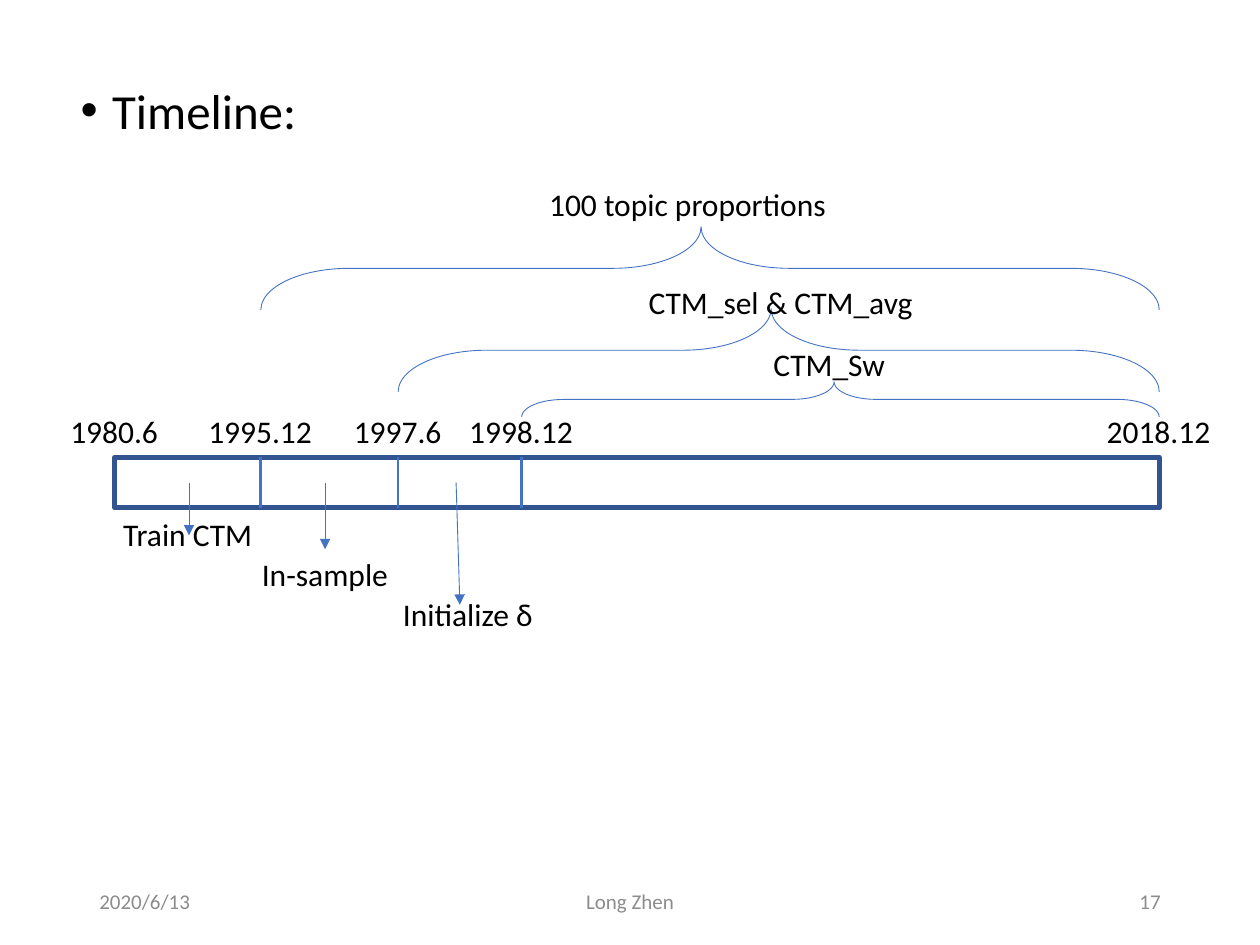
from lxml.etree import SubElement
from pptx import Presentation
from pptx.dml.color import RGBColor
from pptx.enum.shapes import MSO_CONNECTOR, MSO_SHAPE
from pptx.enum.text import MSO_ANCHOR, MSO_AUTO_SIZE, PP_ALIGN
from pptx.oxml.ns import qn
from pptx.util import Inches, Pt

# The page is a grid of 100 columns and 75 rows of equal cells
CELL = Inches(0.1)
BLACK, GREY, BLUE, NAVY = "000000", "8C8C8C", "4472C4", "325491"
LABEL_HEIGHT = 4


def cells(*counts):
    return [round(count * CELL) for count in counts]


def color(hex_code):
    return RGBColor.from_string(hex_code)


def format_text(para, size, hex_code, align=PP_ALIGN.LEFT):
    para.alignment = align
    for span in para.runs:
        span.font.name = "Calibri"
        span.font.size = Pt(size)
        span.font.color.rgb = color(hex_code)


def add_label(page, text, center, top, width):
    box = page.shapes.add_textbox(*cells(center - width / 2, top, width, LABEL_HEIGHT))
    frame = box.text_frame
    frame.text = text
    frame.word_wrap = False
    frame.auto_size = MSO_AUTO_SIZE.SHAPE_TO_FIT_TEXT
    format_text(frame.paragraphs[0], 18, BLACK)


def add_line(page, start, end, weight, arrow=False):
    line = page.shapes.add_connector(MSO_CONNECTOR.STRAIGHT, *cells(*start, *end))
    line.line.color.rgb = color(BLUE)
    line.line.width = Pt(weight)
    if arrow:
        SubElement(line.line._get_or_add_ln(), qn("a:tailEnd"), type="triangle")
    SubElement(line._element.spPr, qn("a:effectLst"))


def style_outline(shape, hex_code, weight):
    shape.shadow.inherit = False
    shape.fill.background()
    shape.line.color.rgb = color(hex_code)
    shape.line.width = Pt(weight)


def add_brace(page, left, top, width, height, curve):
    # A left brace turned by a quarter so that its tip points up
    middle_x, middle_y = left + width / 2, top + height / 2
    brace = page.shapes.add_shape(
        MSO_SHAPE.LEFT_BRACE,
        *cells(middle_x - height / 2, middle_y - width / 2, height, width))
    brace.rotation = 90
    brace.adjustments[0] = curve
    brace.adjustments[1] = 0.51
    style_outline(brace, BLUE, 0.5)


def add_heading(page, text, left, top, width, height):
    title, body = page.placeholders[0], page.placeholders[1]
    title._element.getparent().remove(title._element)
    body.left, body.top, body.width, body.height = cells(left, top, width, height)
    frame = body.text_frame
    frame.text = text
    frame.auto_size = MSO_AUTO_SIZE.NONE
    para = frame.paragraphs[0]
    properties = para._p.get_or_add_pPr()
    properties.set("marL", str(Inches(0.25)))
    properties.set("indent", str(-Inches(0.25)))
    SubElement(properties, qn("a:buFont"), typeface="Arial")
    SubElement(properties, qn("a:buChar"), char="•")
    para.line_spacing = 0.8
    para.space_before = Pt(0)
    format_text(para, 28, BLACK)


def add_timeline(page, left, top, width, height):
    right, bottom, middle = left + width, top + height, top + height / 2

    # Bar with its dates
    bar = page.shapes.add_shape(MSO_SHAPE.RECTANGLE, *cells(left, top, width, height))
    style_outline(bar, NAVY, 3)
    dates = {"1980.6": left, "1995.12": left + 11.6, "1997.6": left + 22.5,
             "1998.12": left + 32.3, "2018.12": right}
    for date, x in dates.items():
        add_label(page, date, x, top - 4.1, 9 if len(date) == 6 else 10.3)
        if left < x < right:
            add_line(page, (x, top), (x, bottom), 1.5)

    # Braces from a date to the end of the bar
    spans = [
        ("1995.12", 18.3, 6.6, 1.06, "100 topic proportions", 54.75, 14.2, 24.3),
        ("1997.6", 11.8, 6.6, 1.06, "CTM_sel & CTM_avg", 62.1, 22, 23.2),
        ("1998.12", 6, 2.8, 1.19, "CTM_Sw", 65.9, 26.9, 11),
    ]
    for date, rise, depth, curve, text, center, label_top, label_width in spans:
        start = dates[date]
        add_brace(page, start, top - rise, right - start, depth, curve)
        add_label(page, text, center, label_top, label_width)

    # Phases below the bar
    phases = [
        ("Train CTM", 15, 4.1, 12.4, 15, 15, 6.2),
        ("In-sample", 25.85, 7.3, 12.1, 25.8, 25.8, 7.3),
        ("Initialize δ", 37.2, 10.4, 12.4, 36.2, 36.5, 11.7),
    ]
    for text, center, drop, label_width, tail, head, reach in phases:
        add_label(page, text, center, top + drop, label_width)
        add_line(page, (tail, middle), (head, top + reach), 0.5, arrow=True)


def add_footer(page, left, top, width, height):
    side, center = 22.5, 33.8
    parts = [
        ("2020/6/13", left, side, PP_ALIGN.LEFT),
        ("Long Zhen", left + (width - center) / 2, center, PP_ALIGN.CENTER),
        ("17", left + width - side, side, PP_ALIGN.RIGHT),
    ]
    for text, x, part_width, align in parts:
        box = page.shapes.add_textbox(*cells(x, top, part_width, height))
        frame = box.text_frame
        frame.text = text
        frame.word_wrap = True
        frame.vertical_anchor = MSO_ANCHOR.MIDDLE
        format_text(frame.paragraphs[0], 12, GREY, align)


def main():
    deck = Presentation()
    deck.slide_width, deck.slide_height = cells(100, 75)
    page = deck.slides.add_slide(deck.slide_layouts[1])
    add_heading(page, "Timeline:", 5.4, 6.8, 86.2, 5.2)
    add_timeline(page, 9.1, 36.3, 82.9, 4)
    add_footer(page, 6.9, 69.5, 86.2, 4)
    deck.save("out.pptx")


if __name__ == "__main__":
    main()
